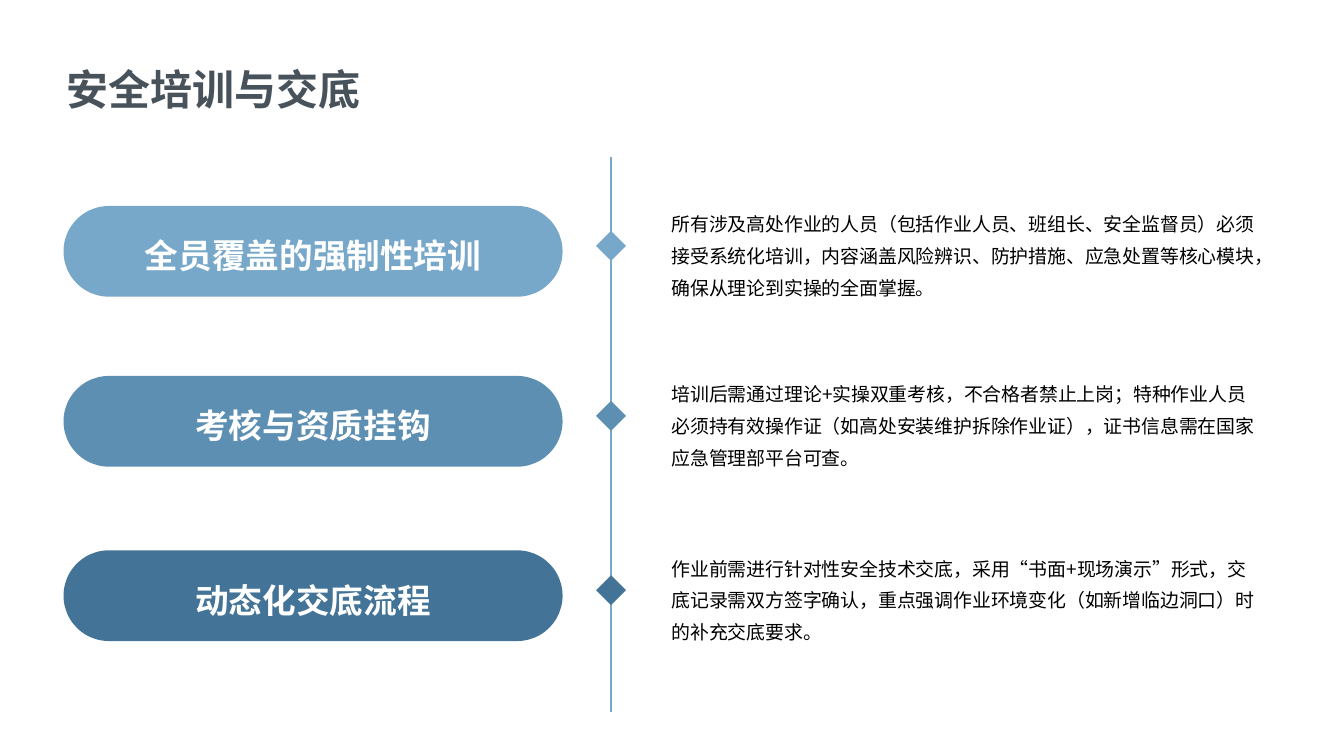
from dataclasses import dataclass

from lxml.etree import SubElement
from pptx import Presentation
from pptx.dml.color import RGBColor
from pptx.enum.shapes import MSO_CONNECTOR, MSO_SHAPE
from pptx.enum.text import MSO_ANCHOR as Anchor, PP_ALIGN as Align
from pptx.oxml.ns import qn
from pptx.shapes.autoshape import Shape
from pptx.util import Inches, Pt

FONT = "Noto Sans CJK SC"
COLORS = {
    "heading": "47525B",
    "body": "000000",
    "label": "FFFFFF",
    "light": "78A8C9",
    "medium": "5D8FB2",
    "dark": "437497",
}

deck = Presentation()
deck.slide_width, deck.slide_height = Inches(13.33), Inches(7.5)
slide = deck.slides.add_slide(deck.slide_layouts[6])


@dataclass(frozen=True)
class Box:
    """Place and size in percent of the slide's width and height."""
    left: float
    top: float
    width: float
    height: float

    def emu(self) -> tuple[int, int, int, int]:
        return (across(self.left), down(self.top),
                across(self.width), down(self.height))


@dataclass(frozen=True)
class Measure:
    label: str
    detail: str
    color: str
    middle: float  # percent of the slide's height


@dataclass(frozen=True)
class TextStyle:
    size: float
    color: str
    bold: bool = False
    spacing: float = 1.4
    align: Align = Align.LEFT
    anchor: Anchor = Anchor.MIDDLE
    insets: tuple[float, float, float, float] = (0.12, 0.06, 0.12, 0.06)


HEADING = TextStyle(30, "heading", bold=True, anchor=Anchor.TOP,
                    insets=(0.14, 0.14, 0.06, 0.14))
LABEL = TextStyle(24, "label", bold=True, spacing=1.2, align=Align.CENTER)
DETAIL = TextStyle(13.5, "body")

AXIS = 45.46
MARKER_LIFT = 0.73  # markers sit slightly above the middle of their row

MEASURES = [
    Measure("全员覆盖的强制性培训",
            "所有涉及高处作业的人员（包括作业人员、班组长、安全监督员）必须接受系统化培训，"
            "内容涵盖风险辨识、防护措施、应急处置等核心模块，确保从理论到实操的全面掌握。",
            "light", 33.25),
    Measure("考核与资质挂钩",
            "培训后需通过理论+实操双重考核，不合格者禁止上岗；特种作业人员必须持有效操作证"
            "（如高处安装维护拆除作业证），证书信息需在国家应急管理部平台可查。",
            "medium", 55.73),
    Measure("动态化交底流程",
            "作业前需进行针对性安全技术交底，采用“书面+现场演示”形式，交底记录需双方签字确认，"
            "重点强调作业环境变化（如新增临边洞口）时的补充交底要求。",
            "dark", 78.8),
]


def across(percent: float) -> int:
    return round(deck.slide_width * percent / 100)


def down(percent: float) -> int:
    return round(deck.slide_height * percent / 100)


def rgb(name: str) -> RGBColor:
    return RGBColor.from_string(COLORS[name])


def centered(left: float, middle: float, width: float, height: float) -> Box:
    return Box(left, middle - height / 2, width, height)


def write(holder: Shape, text: str, style: TextStyle) -> None:
    frame = holder.text_frame
    frame.text = text
    frame.word_wrap = True
    frame.vertical_anchor = style.anchor
    (frame.margin_left, frame.margin_top,
     frame.margin_right, frame.margin_bottom) = map(Inches, style.insets)
    paragraph = frame.paragraphs[0]
    paragraph.alignment = style.align
    paragraph.line_spacing = style.spacing
    run = paragraph.runs[0]
    run.font.size = Pt(style.size)
    run.font.bold = style.bold
    run.font.color.rgb = rgb(style.color)
    run.font.name = FONT
    # East Asian typeface, for the Chinese characters
    SubElement(run.font._element, qn("a:ea"), typeface=FONT)


def add_text(box: Box, text: str, style: TextStyle) -> None:
    write(slide.shapes.add_textbox(*box.emu()), text, style)


def add_solid(preset: MSO_SHAPE, box: Box, color: str) -> Shape:
    solid = slide.shapes.add_shape(preset, *box.emu())
    solid.shadow.inherit = False
    solid.fill.solid()
    solid.fill.fore_color.rgb = rgb(color)
    solid.line.fill.background()
    return solid


def add_axis() -> None:
    axis = slide.shapes.add_connector(MSO_CONNECTOR.STRAIGHT, across(AXIS),
                                      down(20.8), across(AXIS), down(94.13))
    axis.line.color.rgb = rgb("light")
    axis.line.width = Pt(1.5)
    SubElement(axis._element.spPr, qn("a:effectLst"))


def add_measure(measure: Measure) -> None:
    pill = add_solid(MSO_SHAPE.ROUNDED_RECTANGLE,
                     centered(4.73, measure.middle, 37.13, 12), measure.color)
    pill.adjustments[0] = 0.5
    write(pill, measure.label, LABEL)

    marker = add_solid(
        MSO_SHAPE.RECTANGLE,
        centered(AXIS - 0.79, measure.middle - MARKER_LIFT, 1.58, 2.8),
        measure.color)
    marker.rotation = 135

    add_text(centered(49.06, measure.middle, 45.46, 18.4),
             measure.detail, DETAIL)


# Heading
add_text(Box(3.9, 3.87, 92.2, 13.73), "安全培训与交底", HEADING)

# Axis with one row per measure
add_axis()
for measure in MEASURES:
    add_measure(measure)

deck.save("out.pptx")
